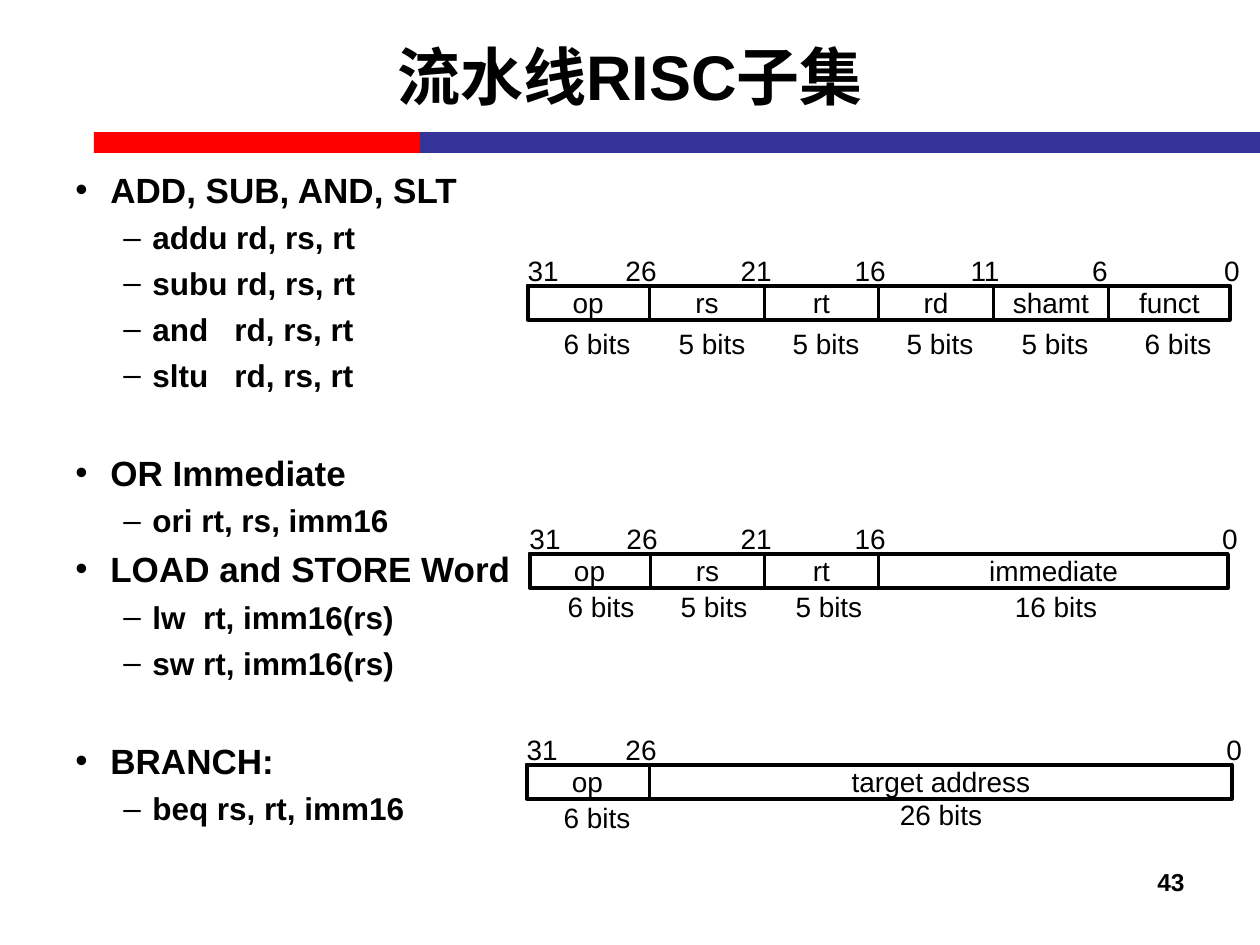
from lxml.etree import SubElement
from pptx import Presentation
from pptx.dml.color import RGBColor
from pptx.enum.shapes import MSO_SHAPE as Preset
from pptx.enum.text import MSO_ANCHOR as Anchor, PP_ALIGN as Align
from pptx.oxml.ns import qn
from pptx.util import Pt

EMU_PER_PX = 914400 / 126
BLACK = "000000"


def px(length):
    return round(length * EMU_PER_PX)


def color(value):
    return RGBColor.from_string(value)


def set_all(target, values):
    for name, value in values.items():
        setattr(target, name, value)


class SlideBuilder:
    font_name = "Arial"
    # level: text size, left indent, hanging indent, space before, bullet
    levels = {0: (20, 35, 35, 5, "•"), 1: (18, 77, 29, 4.6, "–")}

    def __init__(self, slide):
        self.slide = slide

    def style(self, paragraph, size, bold=False, align=Align.LEFT):
        paragraph.alignment = align
        set_all(paragraph.font, {"name": self.font_name, "size": Pt(size), "bold": bold})
        paragraph.font.color.rgb = color(BLACK)

    def rect(self, x, y, width, height, fill=None, line=None):
        shape = self.slide.shapes.add_shape(
            Preset.RECTANGLE, px(x), px(y), px(width), px(height))
        shape.shadow.inherit = False
        if fill:
            shape.fill.solid()
            shape.fill.fore_color.rgb = color(fill)
        else:
            shape.fill.background()
        if line:
            shape.line.width = Pt(line)
            shape.line.color.rgb = color(BLACK)
        else:
            shape.line.fill.background()
        return shape

    def cell(self, x, y, width, height, text):
        frame = self.rect(x, y, width, height, line=1).text_frame
        set_all(frame, {"text": text, "word_wrap": False,
                        "vertical_anchor": Anchor.MIDDLE, "margin_left": 0,
                        "margin_right": 0, "margin_top": 0, "margin_bottom": 0})
        self.style(frame.paragraphs[0], 16, align=Align.CENTER)

    def text(self, x, y, width, height, text, size, wrap=True, bold=True,
             align=Align.CENTER, anchor=Anchor.TOP):
        box = self.slide.shapes.add_textbox(px(x), px(y), px(width), px(height))
        frame = box.text_frame
        set_all(frame, {"text": text, "word_wrap": wrap, "vertical_anchor": anchor})
        self.style(frame.paragraphs[0], size, bold, align)

    def label(self, center, y, text):
        width = 26 + 15 * len(text)
        self.text(center - width / 2, y, width, 47, text, 16, wrap=False, bold=False)

    def outline(self, x, y, width, height, sections, gap):
        """Bulleted sections; gap is the extra space before those marked apart."""
        box = self.slide.shapes.add_textbox(px(x), px(y), px(width), px(height))
        frame = box.text_frame
        frame.word_wrap = True
        items = []
        for heading, apart, lines in sections:
            items.append((heading, 0, gap if apart else 0))
            items += [(line, 1, 0) for line in lines]
        for index, (text, level, extra) in enumerate(items):
            size, left, hanging, before, bullet = self.levels[level]
            paragraph = frame.add_paragraph() if index else frame.paragraphs[0]
            set_all(paragraph, {"text": text, "level": level,
                                "space_before": Pt(before + extra if index else 0)})
            properties = paragraph._p.get_or_add_pPr()
            properties.set("marL", str(px(left)))
            properties.set("indent", str(px(-hanging)))
            SubElement(properties, qn("a:buFont"), typeface=self.font_name)
            SubElement(properties, qn("a:buChar"), char=bullet)
            self.style(paragraph, size, bold=True)

    def instruction(self, left, top, fields):
        """Field: name, top bit, right edge, width label, its center and top."""
        end = fields[-1][2]
        self.rect(left + 1, top + 1, end - left - 2, 34, line=2)
        start = left
        for name, high_bit, right, bits, center, bits_top in fields:
            self.cell(start, top, right - start - 1, 35, name)
            offset = 16 if start == left else -9
            self.label(start + offset, top - 38, high_bit)
            self.label(center, bits_top, bits)
            start = right
        self.label(end + 1, top - 38, "0")


def main():
    presentation = Presentation()
    set_all(presentation, {"slide_width": px(1260), "slide_height": px(945)})
    builder = SlideBuilder(presentation.slides.add_slide(presentation.slide_layouts[6]))

    # Title and divider
    builder.rect(94, 132, 326, 21, fill="FF0000")
    builder.rect(420, 132, 840, 21, fill="333399")
    builder.text(63, 19, 1134, 113, "流水线RISC子集", 36, anchor=Anchor.MIDDLE)

    # Instruction list
    builder.outline(63, 162, 1134, 726, [
        ("ADD, SUB, AND, SLT", False,
         ["addu rd, rs, rt", "subu rd, rs, rt", "and   rd, rs, rt", "sltu   rd, rs, rt"]),
        ("OR Immediate", True, ["ori rt, rs, imm16"]),
        ("LOAD and STORE Word", False, ["lw  rt, imm16(rs)", "sw rt, imm16(rs)"]),
        ("BRANCH:", True, ["beq rs, rt, imm16"]),
    ], gap=28)

    # Instruction formats
    builder.instruction(527, 285, [
        ("op", "31", 650, "6 bits", 597, 320),
        ("rs", "26", 765, "5 bits", 712, 320),
        ("rt", "21", 879, "5 bits", 826, 320),
        ("rd", "16", 994, "5 bits", 940, 320),
        ("shamt", "11", 1109, "5 bits", 1055, 320),
        ("funct", "6", 1231, "6 bits", 1178, 320),
    ])
    builder.instruction(529, 553, [
        ("op", "31", 651, "6 bits", 601, 583),
        ("rs", "26", 765, "5 bits", 714, 583),
        ("rt", "21", 879, "5 bits", 829, 583),
        ("immediate", "16", 1229, "16 bits", 1056, 583),
    ])
    builder.instruction(526, 764, [
        ("op", "31", 650, "6 bits", 597, 794),
        ("target address", "26", 1233, "26 bits", 941, 791),
    ])

    # Slide number
    builder.text(903, 861, 294, 65, "43", 14, align=Align.RIGHT)

    presentation.save("out.pptx")


if __name__ == "__main__":
    main()
